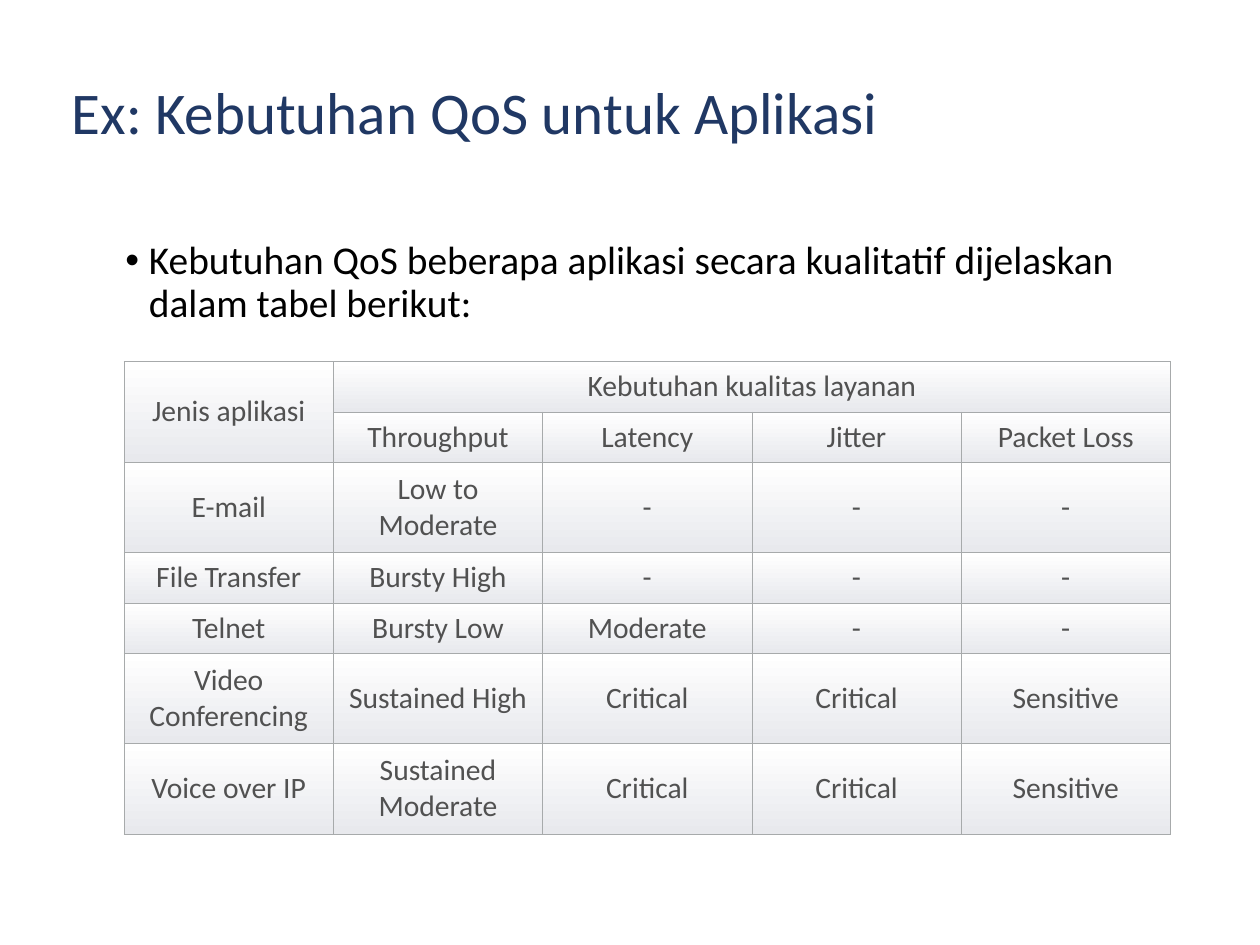
from lxml.etree import SubElement as Sub
from pptx import Presentation
from pptx.dml.color import RGBColor
from pptx.enum.text import MSO_ANCHOR as Anchor, PP_ALIGN as Align
from pptx.oxml import parse_xml
from pptx.oxml.ns import nsdecls, qn
from pptx.util import Pt

ROWS = [
    ["Jenis aplikasi", "Kebutuhan kualitas layanan", "", "", ""],
    ["", "Throughput", "Latency", "Jitter", "Packet Loss"],
    ["E-mail", "Low to Moderate", "-", "-", "-"],
    ["File Transfer", "Bursty High", "-", "-", "-"],
    ["Telnet", "Bursty Low", "Moderate", "-", "-"],
    ["Video Conferencing", "Sustained High", "Critical", "Critical", "Sensitive"],
    ["Voice over IP", "Sustained Moderate", "Critical", "Critical", "Sensitive"],
]
LOW, TALL = 40.95, 73.4
HEIGHTS = [LOW, LOW, TALL, LOW, LOW, TALL, TALL]


def color(code):
    return RGBColor.from_string(code)


class Deck:
    face = "Calibri"
    navy, black, gray = "203864", "000000", "515151"
    edge, shade = "A7AAAB", ("FFFFFF", "E8E9ED")

    def __init__(self, width, height):
        self.prs = Presentation()
        self.prs.slide_width, self.prs.slide_height = Pt(width), Pt(height)
        self.slide = self.prs.slides.add_slide(self.prs.slide_layouts[6])

    def style(self, para, size, ink):
        font = para.font
        font.name, font.size = self.face, Pt(size)
        font.color.rgb = color(ink)

    def text(self, words, box, size, ink, anchor=Anchor.TOP, bullet=False):
        frame = self.slide.shapes.add_textbox(*map(Pt, box)).text_frame
        frame.word_wrap = True
        frame.vertical_anchor = anchor
        para = frame.paragraphs[0]
        para.text = words
        para.line_spacing = 0.9
        if bullet:
            self.bullet(para, 70, 19.2)
        self.style(para, size, ink)

    def bullet(self, para, left, hang):
        props = para._p.get_or_add_pPr()
        props.set("marL", str(Pt(left)))
        props.set("indent", str(-Pt(hang)))
        Sub(Sub(props, qn("a:buClr")), qn("a:srgbClr"), val=self.black)
        Sub(props, qn("a:buFont"), typeface="Arial")
        Sub(props, qn("a:buChar"), char="•")

    def border(self, cell):
        props = cell._tc.get_or_add_tcPr()
        for spot, side in enumerate("LRTB"):
            props.insert(spot, parse_xml(
                f'<a:ln{side} {nsdecls("a")} w="{Pt(0.45)}"><a:solidFill>'
                f'<a:srgbClr val="{self.edge}"/></a:solidFill></a:ln{side}>'))

    def cell(self, cell, words):
        cell.text = words
        cell.vertical_anchor = Anchor.MIDDLE
        cell.margin_left = cell.margin_right = Pt(4.3)
        cell.margin_top = cell.margin_bottom = Pt(3.6)
        para = cell.text_frame.paragraphs[0]
        para.alignment = Align.CENTER
        self.style(para, 24, self.gray)
        cell.fill.gradient()
        cell.fill.gradient_angle = 270
        for stop, code in zip(cell.fill.gradient_stops, self.shade):
            stop.color.rgb = color(code)
        self.border(cell)

    def table(self, rows, heights, left, top, width):
        count = len(rows[0])
        box = map(Pt, (left, top, width, sum(heights)))
        table = self.slide.shapes.add_table(len(rows), count, *box).table
        table.first_row = table.horz_banding = False
        for col in table.columns:
            col.width = Pt(width / count)
        for r, (row, height) in enumerate(zip(rows, heights)):
            table.rows[r].height = Pt(height)
            for c, words in enumerate(row):
                self.cell(table.cell(r, c), words)
        return table


def main():
    deck = Deck(1023.88, 767.75)
    deck.text("Ex: Kebutuhan QoS untuk Aplikasi", (51.2, 17.3, 851, 153.4),
              48, deck.navy, Anchor.MIDDLE)
    deck.text("Kebutuhan QoS beberapa aplikasi secara kualitatif dijelaskan "
              "dalam tabel berikut:", (44, 192.2, 945.4, 103),
              32, deck.black, bullet=True)
    table = deck.table(ROWS, HEIGHTS, 100.8, 293.6, 850.3)
    table.cell(0, 0).merge(table.cell(1, 0))
    table.cell(0, 1).merge(table.cell(0, 4))
    deck.prs.save("out.pptx")


if __name__ == "__main__":
    main()
